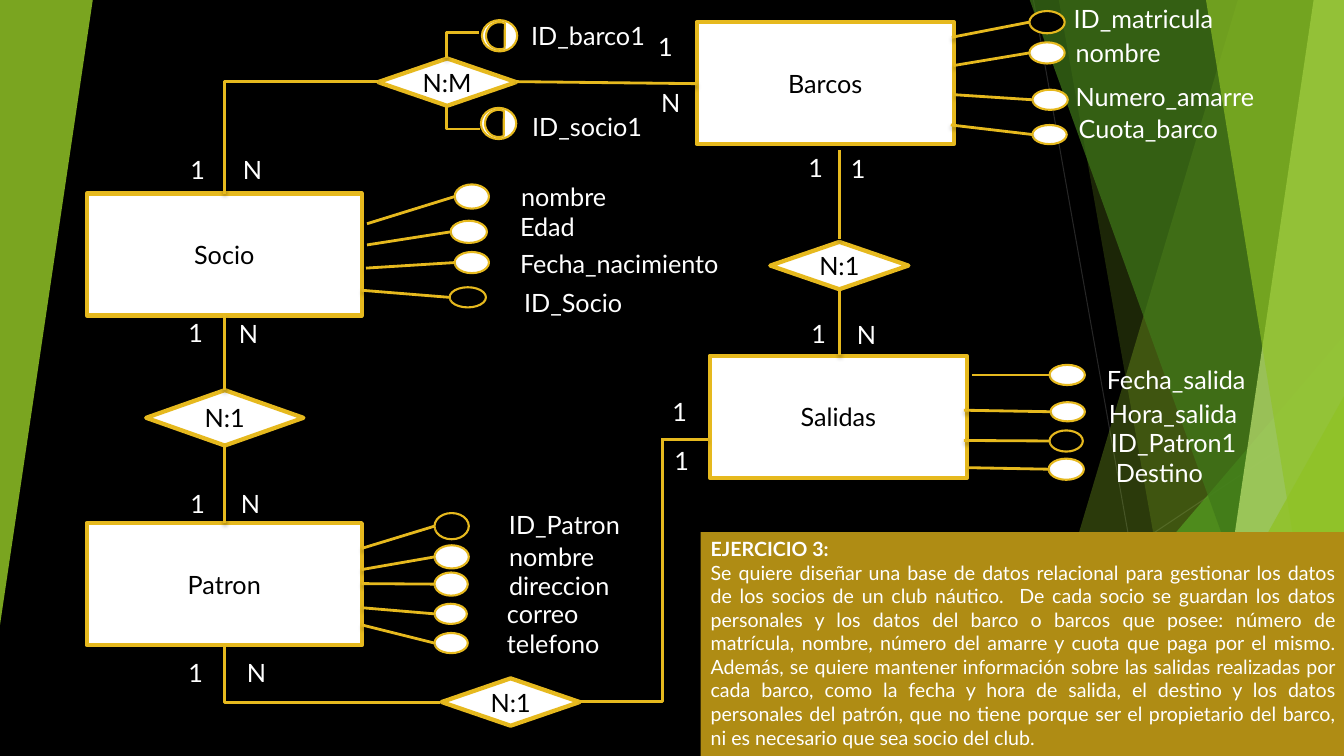
from lxml.etree import SubElement
from pptx import Presentation
from pptx.dml.color import RGBColor
from pptx.enum.shapes import MSO_CONNECTOR, MSO_SHAPE
from pptx.enum.text import MSO_ANCHOR, PP_ALIGN
from pptx.oxml import parse_xml
from pptx.oxml.ns import nsdecls, qn
from pptx.util import Cm, Pt

GOLD, WHITE, BLACK, GREEN = "E6B91E", "FFFFFF", "000000", "90C226"
W, H = 13.33, 7.5

SHADOW = ('<a:effectLst %s><a:outerShdw blurRad="38100" dist="25400" dir="5400000">'
          '<a:srgbClr val="000000"><a:alpha val="35000"/></a:srgbClr>'
          '</a:outerShdw></a:effectLst>' % nsdecls("a"))
NO_SHADOW = "<a:effectLst %s/>" % nsdecls("a")

# Entities: name, left, top, width (all share one height)
ENTITIES = [("Socio", 0.86, 1.92, 2.73), ("Patron", 0.86, 5.19, 2.73),
            ("Barcos", 6.91, 0.22, 2.55), ("Salidas", 7.04, 3.53, 2.55)]

# Relations: cardinality, left, top, width, height
RELATIONS = [("N:M", 3.75, 0.58, 1.37, 0.47), ("N:1", 1.45, 3.87, 1.56, 0.55),
             ("N:1", 7.64, 2.4, 1.37, 0.47), ("N:1", 4.38, 6.73, 1.37, 0.47)]

# Attributes: name, label (left, top, width), oval (left, top, width, height), line start
ATTRIBUTES = [
    ("nombre", (5.07, 1.75, 1.32), (4.51, 1.83, 0.34, 0.24), (3.64, 2.22)),
    ("Edad", (5.06, 2.05, 1.32), (4.47, 2.19, 0.36, 0.22), (3.64, 2.43)),
    ("Fecha_nacimiento", (5.06, 2.41, 2.43), (4.51, 2.5, 0.34, 0.21), (3.63, 2.66)),
    ("ID_Socio", (5.1, 2.8, 1.32), (4.46, 2.85, 0.36, 0.2), (3.59, 2.88)),
    ("ID_Patron", (4.95, 5, 1.84), (4.31, 5.09, 0.34, 0.26), (3.59, 5.44)),
    ("nombre", (4.95, 5.32, 1.32), (4.31, 5.41, 0.34, 0.23), (3.59, 5.65)),
    ("direccion", (4.95, 5.61, 1.32), (4.31, 5.68, 0.33, 0.23), (3.59, 5.79)),
    ("correo", (4.93, 5.89, 1.32), (4.31, 5.99, 0.32, 0.2), (3.6, 6.03)),
    ("telefono", (4.93, 6.18, 1.32), (4.31, 6.28, 0.33, 0.2), (3.59, 6.2)),
    ("ID_matricula", (10.55, -0.02, 1.66), (10.21, 0.11, 0.35, 0.22), (9.44, 0.37)),
    ("nombre", (10.57, 0.32, 1.32), (10.21, 0.42, 0.35, 0.21), (9.46, 0.65)),
    ("Numero_amarre", (10.57, 0.76, 2.45), (10.24, 0.89, 0.35, 0.2), (9.47, 0.94)),
    ("Cuota_barco", (10.6, 1.08, 1.83), (10.24, 1.24, 0.34, 0.19), (9.43, 1.24)),
    ("Fecha_salida", (10.88, 3.57, 1.83), (10.41, 3.62, 0.35, 0.2), (9.64, 3.72)),
    ("Hora_salida", (10.9, 3.9, 1.83), (10.42, 3.99, 0.34, 0.19), (9.56, 4.07)),
    ("ID_Patron1", (10.92, 4.19, 1.83), (10.41, 4.27, 0.33, 0.21), (9.56, 4.37)),
    ("Destino", (10.97, 4.49, 1.83), (10.4, 4.55, 0.35, 0.21), (9.61, 4.64)),
]

# Relation attributes: name, label place, half-filled oval place
LINK_KEYS = [("ID_barco1", (5.17, 0.15), (4.78, 0.2)),
             ("ID_socio1", (5.18, 1.06), (4.77, 1.07))]

# Straight links, and elbows that run level first
STRAIGHT = [((5.12, 0.81), (6.91, 0.83)), ((2.23, 3.13), (2.23, 3.87)),
            ((2.23, 4.41), (2.23, 5.19)), ((8.33, 1.49), (8.33, 2.37)),
            ((8.33, 2.87), (8.33, 3.52)), ((6.56, 4.36), (7.02, 4.36))]
ELBOWS = [((3.75, 0.81), (2.23, 1.92)), ((4.36, 6.97), (2.23, 6.4)),
          ((5.75, 6.96), (6.57, 4.36)), ((4.76, 1.28), (4.43, 1.05)),
          ((4.75, 0.32), (4.43, 0.58))]

CARDINALITIES = {
    "1": [(6.43, 0.26), (1.79, 1.48), (1.79, 4.8), (1.77, 3.1), (7.92, 1.46), (8.34, 1.47),
          (7.95, 3.11), (1.77, 6.47), (6.57, 3.88), (6.59, 4.37)],
    "N": [(6.46, 0.82), (2.31, 1.48), (2.29, 4.8), (2.27, 3.11), (8.4, 3.12), (2.35, 6.47)],
}

EXERCISE = (
    "Se quiere diseñar una base de datos relacional para gestionar los datos de los socios "
    "de un club náutico.  De cada socio se guardan los datos personales y los datos del barco "
    "o barcos que posee: número de matrícula, nombre, número del amarre y cuota que paga por "
    "el mismo. Además, se quiere mantener información sobre las salidas realizadas por cada "
    "barco, como la fecha y hora de salida, el destino y los datos personales del patrón, que "
    "no tiene porque ser el propietario del barco, ni es necesario que sea socio del club.")


def inches(*values):
    """Lengths in inches, given to the slide as centimetres."""
    return [Cm(v * 2.54) for v in values]


def paint(fmt, color, alpha=100):
    fmt.solid()
    fmt.fore_color.rgb = RGBColor.from_string(color)
    if alpha < 100:
        clr = fmt._xPr.find(qn("a:solidFill"))[0]
        SubElement(clr, qn("a:alpha")).set("val", str(alpha * 1000))


def add_text(p, text, size=18, color=WHITE, bold=False, align=PP_ALIGN.LEFT):
    p.alignment = align
    r = p.add_run()
    r.text = text
    r.font.name, r.font.size, r.font.bold = "Lato", Pt(size), bold
    r.font.color.rgb = RGBColor.from_string(color)


def finish(sp, fill, alpha=100, line=None, width=1.5):
    sp.shadow.inherit = False
    paint(sp.fill, fill, alpha)
    if line:
        paint(sp.line.fill, line)
        sp.line.width = Pt(width)
    else:
        sp.line.fill.background()
    return sp


def add_shape(shapes, kind, box, fill, **style):
    return finish(shapes.add_shape(kind, *inches(*box)), fill, **style)


def add_node(s, kind, text, box):
    sp = add_shape(s.shapes, kind, box, WHITE, line=GOLD, width=3)
    sp.text_frame.vertical_anchor = MSO_ANCHOR.MIDDLE
    add_text(sp.text_frame.paragraphs[0], text, color=BLACK, align=PP_ALIGN.CENTER)


def add_label(s, text, x, y, w=0.52):
    tf = s.shapes.add_textbox(*inches(x, y, w, 0.4)).text_frame
    tf.word_wrap = True
    add_text(tf.paragraphs[0], text)


def add_line(s, start, end, color=GOLD, width=2, elbow=False, effect=SHADOW):
    kind = MSO_CONNECTOR.ELBOW if elbow else MSO_CONNECTOR.STRAIGHT
    c = s.shapes.add_connector(kind, *inches(*start, *end))
    paint(c.line.fill, color)
    c.line.width = Pt(width)
    spPr = c._element.spPr
    if elbow:
        spPr.find(qn("a:prstGeom")).set("prst", "bentConnector2")
    spPr.append(parse_xml(effect))


def add_band(s, top_x, bottom_x, color, alpha):
    """Facet between a slanted left side and the right slide edge."""
    corners = [(top_x, -0.01), (W, -0.01), (W, H), (bottom_x, H)]
    points = [tuple(inches(*c)) for c in corners]
    fb = s.shapes.build_freeform(*points[0], scale=1.0)
    fb.add_line_segments(points[1:], close=True)
    finish(fb.convert_to_shape(), color, alpha)


def add_wedge(s, box, color, alpha, rotation=0):
    sp = add_shape(s.shapes, MSO_SHAPE.ISOSCELES_TRIANGLE, box, color, alpha=alpha)
    sp.adjustments[0] = 1
    sp.rotation = rotation


def add_backdrop(s):
    paint(s.background.fill, BLACK)
    for start, end in [((10.25, 0), (11.58, H)), ((W, 4.03), (8.12, H))]:
        add_line(s, start, end, color="262626", width=0.75, effect=NO_SHADOW)
    add_band(s, 12.28, 10.04, GREEN, 30)
    add_band(s, 10.5, 11.83, GREEN, 20)
    add_wedge(s, (9.77, 3.33, 3.56, 4.17), "54A021", 72)
    add_band(s, 10.21, 12.91, "3F7819", 70)
    add_band(s, 13.03, 11.92, "C0E474", 70)
    add_band(s, 11.96, 13.18, GREEN, 65)
    add_wedge(s, (11.34, 3.93, 1.99, 3.57), GREEN, 80)
    add_wedge(s, (0, 0, 0.92, 6.2), GREEN, 85, rotation=180)


def add_attribute(s, name, label, oval, start):
    x, y, w, h = oval
    fill = BLACK if name.startswith("ID_") else WHITE
    add_shape(s.shapes, MSO_SHAPE.OVAL, oval, fill, line=GOLD)
    add_line(s, start, (x, y + h / 2))
    add_label(s, name, *label)


def add_link_key(s, name, label, place):
    x, y = place
    g = s.shapes.add_group_shape()
    add_shape(g.shapes, MSO_SHAPE.OVAL, (x, y, 0.35, 0.31), WHITE, line=GOLD)
    half = add_shape(g.shapes, MSO_SHAPE.CHORD, (x + 0.04, y + 0.02, 0.27, 0.27),
                     BLACK, line=GOLD)
    half.rotation = 22.9
    add_label(s, name, *label, w=1.37)


def add_exercise(s):
    sp = add_shape(s.shapes, MSO_SHAPE.RECTANGLE, (6.95, 5.28, 6.4, 2.22), "AF8C14")
    tf = sp.text_frame
    tf.word_wrap = True
    tf.vertical_anchor = MSO_ANCHOR.TOP
    add_text(tf.paragraphs[0], "EJERCICIO 3:", size=14, bold=True, align=PP_ALIGN.JUSTIFY)
    add_text(tf.add_paragraph(), EXERCISE, size=14, align=PP_ALIGN.JUSTIFY)


def main():
    prs = Presentation()
    prs.slide_width, prs.slide_height = inches(W, H)
    s = prs.slides.add_slide(prs.slide_layouts[6])
    add_backdrop(s)
    # Entities and relations
    for name, x, y, w in ENTITIES:
        add_node(s, MSO_SHAPE.RECTANGLE, name, (x, y, w, 1.21))
    for text, *box in RELATIONS:
        add_node(s, MSO_SHAPE.FLOWCHART_DECISION, text, box)
    # Links
    for start, end in STRAIGHT:
        add_line(s, start, end)
    for start, end in ELBOWS:
        add_line(s, start, end, elbow=True)
    # Attributes and cardinalities
    for row in ATTRIBUTES:
        add_attribute(s, *row)
    for row in LINK_KEYS:
        add_link_key(s, *row)
    for text, places in CARDINALITIES.items():
        for x, y in places:
            add_label(s, text, x, y)
    add_exercise(s)
    prs.save("out.pptx")


main()
